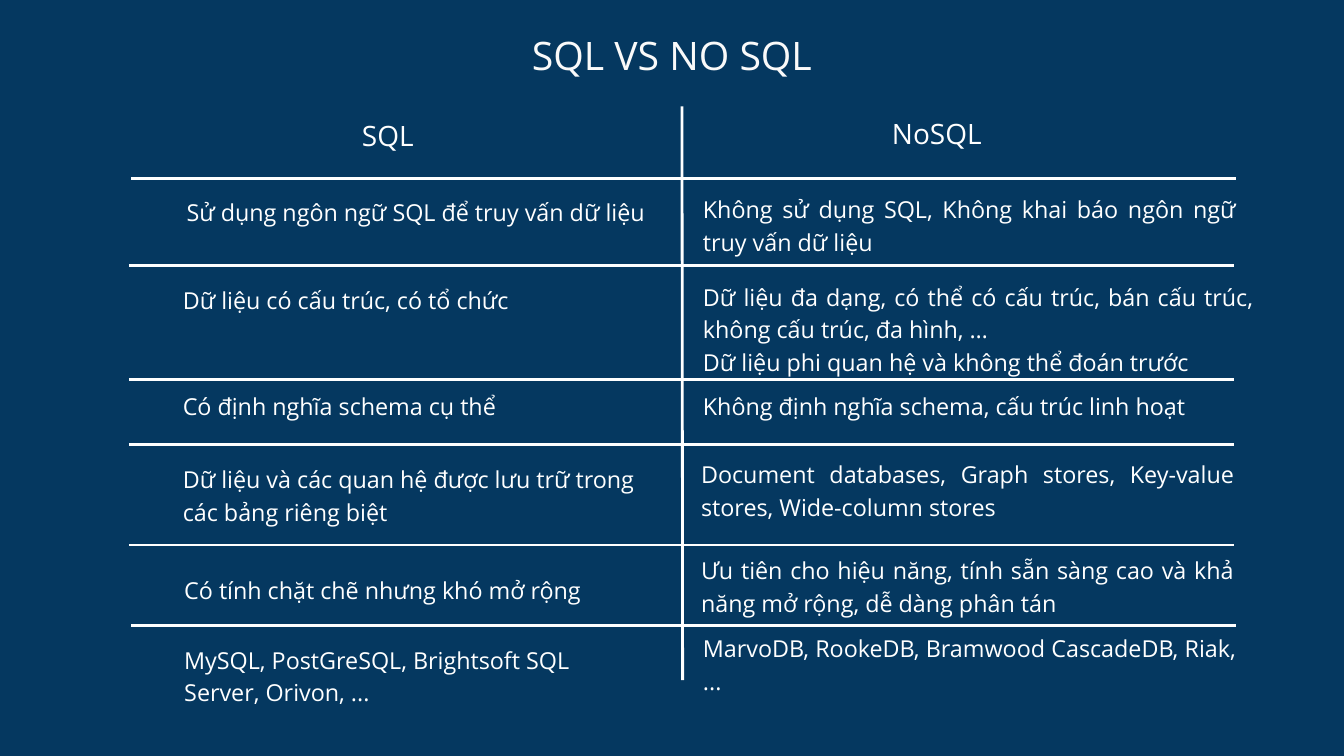
from pptx import Presentation
from pptx.dml.color import RGBColor
from pptx.enum.shapes import MSO_CONNECTOR
from pptx.enum.text import MSO_AUTO_SIZE, PP_ALIGN
from pptx.oxml import parse_xml
from pptx.oxml.ns import nsdecls
from pptx.util import Pt

LEFT, CENTER, JUSTIFY = PP_ALIGN.LEFT, PP_ALIGN.CENTER, PP_ALIGN.JUSTIFY
STRAIGHT = MSO_CONNECTOR.STRAIGHT
GROW = MSO_AUTO_SIZE.SHAPE_TO_FIT_TEXT
FONT = "Open Sans"
NAVY, WHITE, PALE = "053860", "FFFFFF", "FAFAFA"

HEADS = [("SQL", 142, 7.6), ("NoSQL", 730.2, 5)]

ROWS = [
    (77, 2.2,
     ("Sử dụng ngôn ngữ SQL để truy vấn dữ liệu", 57.7, 16.6, 499, 33, CENTER),
     ("Không sử dụng SQL, Không khai báo ngôn ngữ truy vấn dữ liệu",
      615, 13.7, 571, 102, JUSTIFY)),
    (170.6, 0,
     ("Dữ liệu có cấu trúc, có tổ chức", 57.7, 16.6, 450.7, 33, LEFT),
     ("Dữ liệu đa dạng, có thể có cấu trúc, bán cấu trúc, không cấu trúc, đa hình, …\n"
      "Dữ liệu phi quan hệ và không thể đoán trước", 615, 13.7, 589.7, 102, JUSTIFY)),
    (293, 0,
     ("Có định nghĩa schema cụ thể", 57.7, 8.6, 355, 33, LEFT),
     ("Không định nghĩa schema, cấu trúc linh hoạt", 615, 8.6, 571, 33, JUSTIFY)),
    (362.8, 0,
     ("Dữ liệu và các quan hệ được lưu trữ trong các bảng riêng biệt",
      57.7, 16.6, 520.6, 67.7, LEFT),
     ("Document databases, Graph stores, Key-value stores, Wide-column stores",
      613, 11.6, 571, 67.7, JUSTIFY)),
    (470, 0,
     ("Có tính chặt chẽ nhưng khó mở rộng", 59.2, 28.1, 450, 33, LEFT),
     ("Ưu tiên cho hiệu năng, tính sẵn sàng cao và khả năng mở rộng, dễ dàng phân tán",
      613, 7.2, 571, 67.7, JUSTIFY)),
    (556.4, 2.2,
     ("MySQL, PostGreSQL, Brightsoft SQL Server, Orivon, ...", 59.2, 16.6, 463, 67.7, LEFT),
     ("MarvoDB, RookeDB, Bramwood CascadeDB, Riak, ...", 615, 4.3, 571, 67.7, JUSTIFY)),
]


def color(code):
    """Turn a hex string into a colour."""
    return RGBColor.from_string(code)


def write(slide, text, x, y, w, h, size=25, lead=35, align=LEFT, ink=WHITE):
    """Place a text box with one paragraph per line of text."""
    frame = slide.shapes.add_textbox(Pt(x), Pt(y), Pt(w), Pt(h)).text_frame
    frame.margin_left = frame.margin_right = frame.margin_top = frame.margin_bottom = 0
    frame.word_wrap = True
    frame.auto_size = GROW
    frame.text = text
    for para in frame.paragraphs:
        para.alignment = align
        para.line_spacing = Pt(lead)
        para.font.name = FONT
        para.font.size = Pt(size)
        para.font.color.rgb = color(ink)


def rule(slide, x1, y1, x2, y2):
    """Draw a white line without shadow."""
    line = slide.shapes.add_connector(STRAIGHT, Pt(x1), Pt(y1), Pt(x2), Pt(y2))
    line.line.color.rgb = color(WHITE)
    line.line.width = Pt(3)
    line._element.spPr.append(parse_xml(f"<a:effectLst {nsdecls('a')}/>"))


def title(slide, x, y, w, h):
    """Place the slide title in its box."""
    write(slide, "SQL VS NO SQL", x, y, w, h, size=42, lead=46.2, align=CENTER, ink=PALE)


def compare(slide, x, y, w, h):
    """Place the two-column comparison in its box."""
    rule(slide, x + 592.5, y, x + 593.2, y + h)
    for text, dx, dy in HEADS:
        write(slide, text, x + dx, y + dy, 270.7, 39, size=30, lead=42, align=CENTER)
    for top, shift, *cells in ROWS:
        rule(slide, x + shift, y + top, x + shift + w, y + top)
        for text, dx, drop, wide, high, align in cells:
            write(slide, text, x + dx, y + top + drop, wide, high, align=align)


def main():
    """Build and save the slide."""
    deck = Presentation()
    deck.slide_width, deck.slide_height = Pt(1440), Pt(810)
    slide = deck.slides.add_slide(deck.slide_layouts[6])
    slide.background.fill.solid()
    slide.background.fill.fore_color.rgb = color(NAVY)
    title(slide, 343.5, 38.2, 753, 46.8)
    compare(slide, 138.2, 113.9, 1184.2, 614.8)
    deck.save("out.pptx")


if __name__ == "__main__":
    main()
